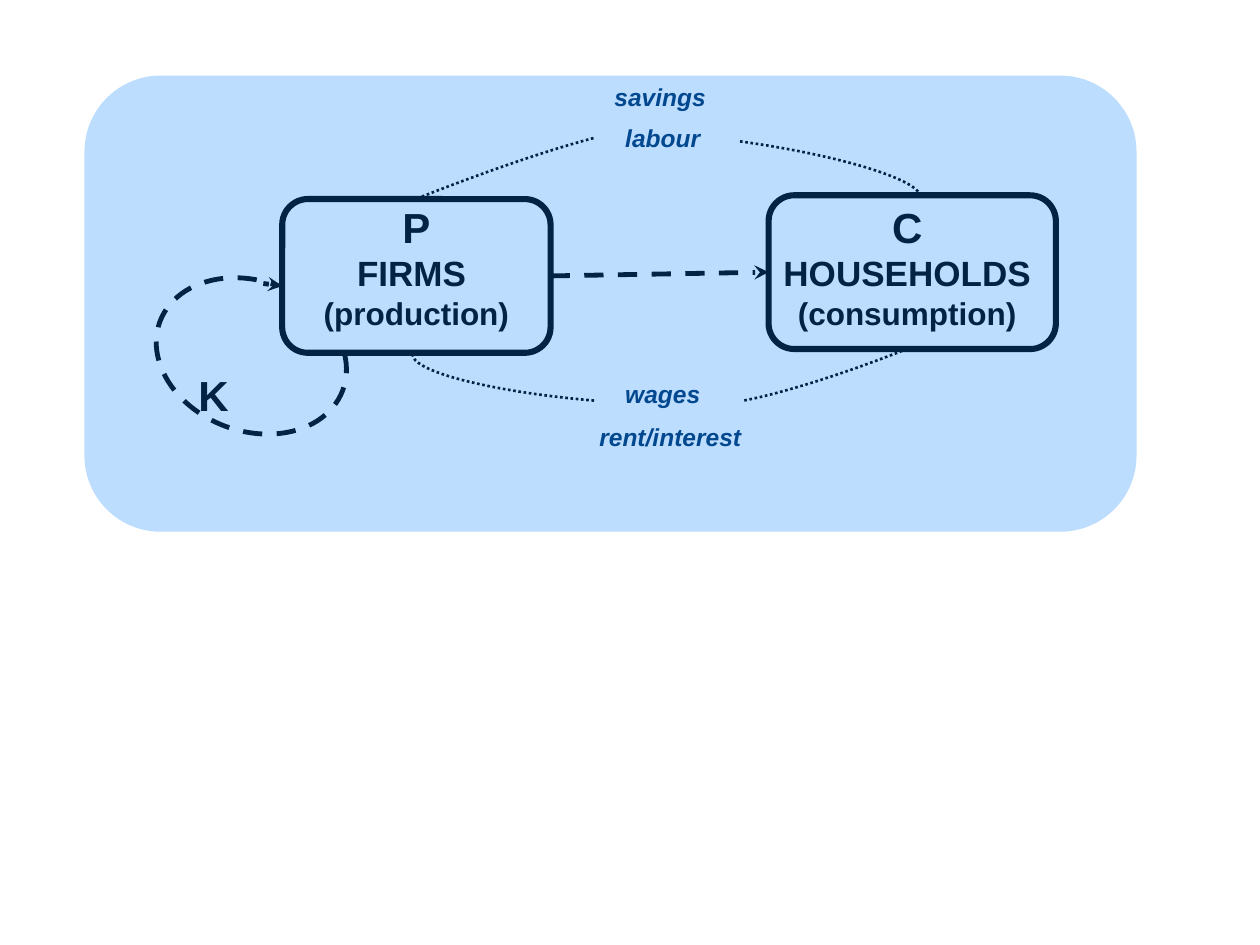
"""Build a slide of the flows between firms and households."""
from dataclasses import dataclass

from lxml.etree import SubElement
from pptx import Presentation
from pptx.dml.color import RGBColor
from pptx.enum.dml import MSO_LINE
from pptx.enum.shapes import MSO_CONNECTOR, MSO_SHAPE
from pptx.enum.text import MSO_AUTO_SIZE, PP_ALIGN
from pptx.oxml.ns import qn
from pptx.util import Inches, Pt


@dataclass(frozen=True)
class Theme:
    font: str = "Arial"
    ink: RGBColor = RGBColor(0x00, 0x00, 0x00)
    flow: RGBColor = RGBColor(0x00, 0x33, 0x66)
    tint: RGBColor = RGBColor(0x0A, 0x82, 0xFE)
    tint_alpha: int = 27
    letter: int = 24
    name: int = 20
    role: int = 18
    label: int = 14
    border: float = 3.5
    dashed: float = 2.75
    dotted: float = 1.5
    corner: float = 0.167


class Diagram:
    def __init__(self, s, theme):
        self.s = s
        self.theme = theme

    def text(self, box, lines, color, italic=False):
        tb = self.s.shapes.add_textbox(*map(Inches, box))
        tf = tb.text_frame
        tf.word_wrap = True
        tf.auto_size = MSO_AUTO_SIZE.SHAPE_TO_FIT_TEXT
        tf.text = "\n".join(line for line, size in lines)
        for p, (line, size) in zip(tf.paragraphs, lines):
            p.alignment = PP_ALIGN.CENTER
            font = p.runs[0].font
            font.name = self.theme.font
            font.size = Pt(size)
            font.bold = True
            font.italic = italic
            font.color.rgb = color

    def label(self, left, top, word):
        lines = [(word, self.theme.label)]
        self.text((left, top, 1.42, 0.34), lines, self.theme.flow, italic=True)

    def sector(self, box, letter, name, role):
        t = self.theme
        lines = [(letter, t.letter), (name, t.name), (role, t.role)]
        self.text(box, lines, t.ink)

    def stroke(self, line, width, dash=None):
        line.color.rgb = self.theme.ink
        line.width = Pt(width)
        if dash:
            line.dash_style = dash

    def shape(self, kind, box, adjustments):
        sp = self.s.shapes.add_shape(kind, *map(Inches, box))
        sp.shadow.inherit = False
        for i, value in enumerate(adjustments):
            sp.adjustments[i] = value
        return sp

    def frame(self, box):
        sp = self.shape(MSO_SHAPE.ROUNDED_RECTANGLE, box, [self.theme.corner])
        sp.fill.background()
        self.stroke(sp.line, self.theme.border)

    def arc(self, box, rotation, start, end, width, dash):
        angles = [degrees * 0.6 for degrees in (start, end)]
        sp = self.shape(MSO_SHAPE.ARC, box, angles)
        sp.rotation = rotation
        sp.fill.background()
        self.stroke(sp.line, width, dash)

    def arrow(self, start, end):
        points = map(Inches, (*start, *end))
        cx = self.s.shapes.add_connector(MSO_CONNECTOR.STRAIGHT, *points)
        self.stroke(cx.line, self.theme.dashed, MSO_LINE.DASH)
        SubElement(cx.line._get_or_add_ln(), qn("a:tailEnd"), type="stealth")
        SubElement(cx._element.spPr, qn("a:effectLst"))

    def veil(self, box):
        sp = self.shape(MSO_SHAPE.ROUNDED_RECTANGLE, box, [self.theme.corner])
        sp.fill.solid()
        sp.fill.fore_color.rgb = self.theme.tint
        color = sp._element.spPr.find(qn("a:solidFill"))[0]
        SubElement(color, qn("a:alpha"), val=str(self.theme.tint_alpha * 1000))
        sp.line.fill.background()


def main():
    prs = Presentation()
    prs.slide_width, prs.slide_height = Inches(10), Inches(7.5)
    theme = Theme()
    d = Diagram(prs.slides.add_slide(prs.slide_layouts[6]), theme)

    for left, top, word in [
        (4.55, 0.93, "labour"),
        (4.55, 2.96, "wages"),
        (4.53, 0.6, "savings"),
        (4.61, 3.3, "rent/interest"),
    ]:
        d.label(left, top, word)

    d.sector((2.36, 1.55, 1.89, 1.14), "P", "FIRMS ", "(production)")
    d.sector((6.1, 1.55, 2.2, 1.14), "C", "HOUSEHOLDS", "(consumption)")
    d.frame((2.24, 1.58, 2.13, 1.22))
    d.frame((6.1, 1.55, 2.28, 1.22))
    d.arrow((4.37, 2.19), (6.1, 2.16))

    for box, rotation, start, end in [
        ((3.27, 2.69, 2.93, 0.49), 184.8, 270, 0),
        ((4.36, 1.12, 2.96, 0.49), 7.9, 270, 0),
        ((5.47, 2.36, 3.27, 0.43), 158.6, 265.86, 354.74),
        ((1.35, 1.57, 4.03, 0.43), 338.3, 265.86, 354.74),
    ]:
        d.arc(box, rotation, start, end, theme.dotted, MSO_LINE.ROUND_DOT)

    loop = (1.4, 2.05, 1.19, 1.55)
    d.arc(loop, 290.7, 68.17, 0, theme.dashed, MSO_LINE.DASH)
    d.text((1.38, 2.88, 0.63, 0.51), [("K", theme.letter)], theme.ink)
    d.arrow((2.09, 2.25), (2.24, 2.27))
    d.veil((0.67, 0.6, 8.35, 3.62))
    prs.save("out.pptx")


if __name__ == "__main__":
    main()
